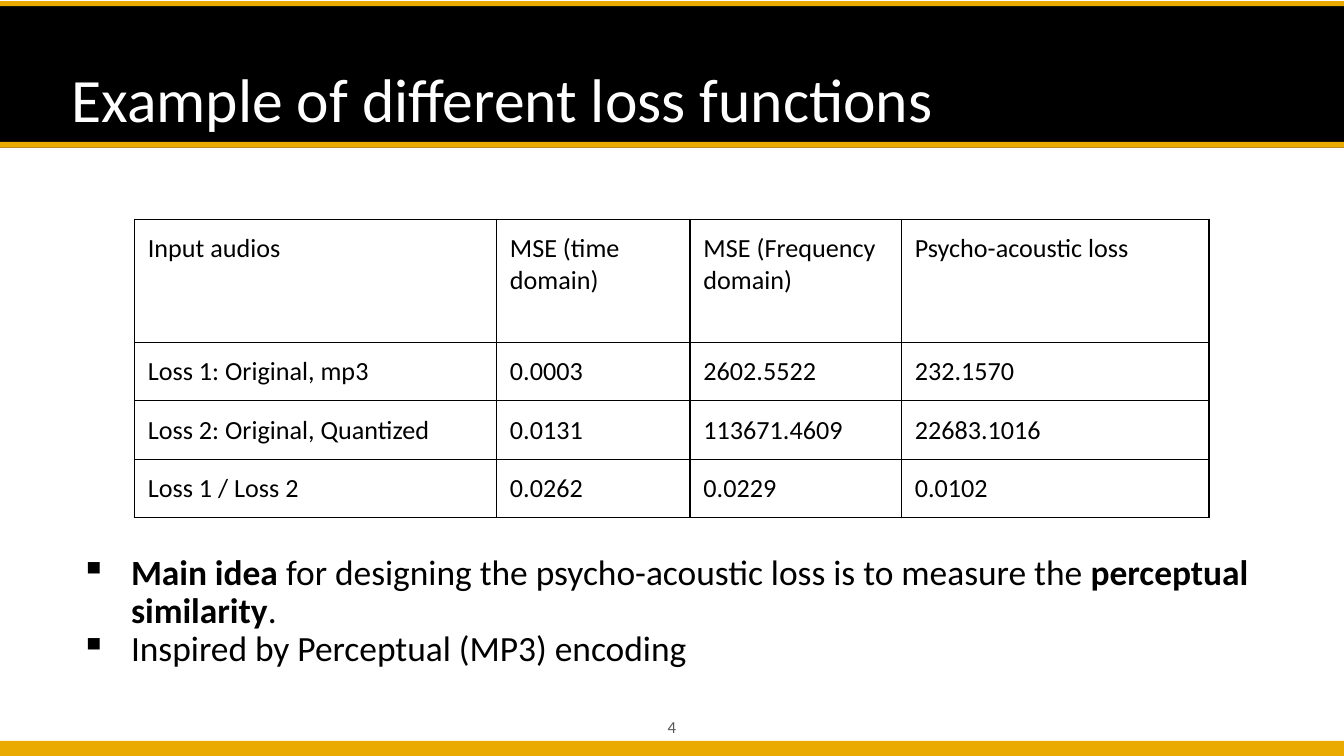
from dataclasses import dataclass

from lxml.etree import SubElement
from pptx import Presentation
from pptx.dml.color import RGBColor
from pptx.enum.shapes import MSO_SHAPE as Shape
from pptx.enum.text import MSO_ANCHOR as Anchor, PP_ALIGN as Align
from pptx.oxml.ns import qn
from pptx.util import Pt


@dataclass(frozen=True)
class Theme:
    font: str = "Calibri"
    black: str = "000000"
    white: str = "FFFFFF"
    gold: str = "EAAA00"
    grey: str = "595959"
    title: float = 33
    body: float = 19
    cell: float = 14
    number: float = 9
    rule: float = 0.75


def apply(obj, values):
    for name, value in values.items():
        setattr(obj, name, value)


class SlideBuilder:
    def __init__(self, slide, theme):
        self.s, self.theme = slide, theme

    def bar(self, top, height, color):
        sp = self.s.shapes.add_shape(Shape.RECTANGLE, 0, Pt(top), Pt(720), Pt(height))
        sp.shadow.inherit = False
        sp.fill.solid()
        sp.fill.fore_color.rgb = RGBColor.from_string(color)
        sp.line.fill.background()

    def run(self, p, text, size, color, bold=False):
        r = p.add_run()
        r.text = text
        apply(r.font, {"name": self.theme.font, "size": Pt(size), "bold": bold})
        r.font.color.rgb = RGBColor.from_string(color)

    def box(self, left, top, width, height, anchor=Anchor.TOP):
        sp = self.s.shapes.add_textbox(Pt(left), Pt(top), Pt(width), Pt(height))
        tf = sp.text_frame
        apply(tf, {"word_wrap": True, "vertical_anchor": anchor,
                   "margin_left": Pt(5.4), "margin_right": Pt(5.4),
                   "margin_top": Pt(2.7), "margin_bottom": Pt(2.7)})
        return tf

    def line(self, area, text, size, color, **fmt):
        p = self.box(*area, Anchor.BOTTOM).paragraphs[0]
        apply(p, fmt)
        self.run(p, text, size, color)

    def bullets(self, area, items):
        t, tf = self.theme, self.box(*area)
        for i, parts in enumerate(items):
            p = tf.add_paragraph() if i else tf.paragraphs[0]
            apply(p, {"line_spacing": 0.9, "space_before": Pt(0 if i else 8)})
            pPr = p._p.get_or_add_pPr()
            pPr.set("marL", str(Pt(36)))
            pPr.set("indent", str(Pt(-27)))
            color = SubElement(pPr, qn("a:buClr"))
            SubElement(color, qn("a:srgbClr"), val=t.black)
            SubElement(pPr, qn("a:buChar"), char="▪")
            for text, bold in parts:
                self.run(p, text, t.body, t.black, bold)

    def borders(self, cell):
        tcPr = cell._tc.get_or_add_tcPr()
        for side in ("a:lnL", "a:lnR", "a:lnT", "a:lnB"):
            ln = SubElement(tcPr, qn(side), w=str(Pt(self.theme.rule)))
            fill = SubElement(ln, qn("a:solidFill"))
            SubElement(fill, qn("a:srgbClr"), val=self.theme.black)

    def table(self, left, top, widths, heights, rows):
        t = self.theme
        table = self.s.shapes.add_table(
            len(rows), len(widths), Pt(left), Pt(top),
            Pt(sum(widths)), Pt(sum(heights))).table
        apply(table, {"first_row": False, "horz_banding": False})
        for column, width in zip(table.columns, widths):
            column.width = Pt(width)
        for row, height, texts in zip(table.rows, heights, rows):
            row.height = Pt(height)
            for cell, text in zip(row.cells, texts):
                apply(cell, {f"margin_{side}": Pt(7.2)
                             for side in ("left", "right", "top", "bottom")})
                self.borders(cell)
                cell.fill.background()
                self.run(cell.text_frame.paragraphs[0], text, t.cell, t.black)


def main():
    prs = Presentation()
    apply(prs, {"slide_width": Pt(720), "slide_height": Pt(405)})
    theme = Theme()
    page = SlideBuilder(prs.slides.add_slide(prs.slide_layouts[6]), theme)

    # Header band, gold rules and footer
    for top, height, color in ((0.6, 78.5, theme.black), (397, 8, theme.gold),
                               (76, 3.1, theme.gold), (0.6, 2.7, theme.gold)):
        page.bar(top, height, color)
    page.line((276.5, 381, 167, 16.5), "4", theme.number, theme.grey,
              alignment=Align.CENTER)

    # Title
    page.line((33, 8, 654, 67.5), "Example of different loss functions",
              theme.title, theme.white, line_spacing=0.9)

    # Key points
    page.bullets((28.8, 294.5, 654, 67.5), [
        [("Main idea", True),
         (" for designing the psycho-acoustic loss is to measure the ", False),
         ("perceptual similarity", True), (".", False)],
        [("Inspired by Perceptual (MP3) encoding", False)],
    ])

    # Loss comparison
    page.table(72, 117.4, [194, 103.7, 113.2, 164.8], [66] + [31.3] * 3, [
        ["Input audios", "MSE (time domain)", "MSE (Frequency domain)",
         "Psycho-acoustic loss"],
        ["Loss 1: Original, mp3", "0.0003", "2602.5522", "232.1570"],
        ["Loss 2: Original, Quantized", "0.0131", "113671.4609", "22683.1016"],
        ["Loss 1 / Loss 2", "0.0262", "0.0229", "0.0102"],
    ])

    prs.save("out.pptx")


if __name__ == "__main__":
    main()
